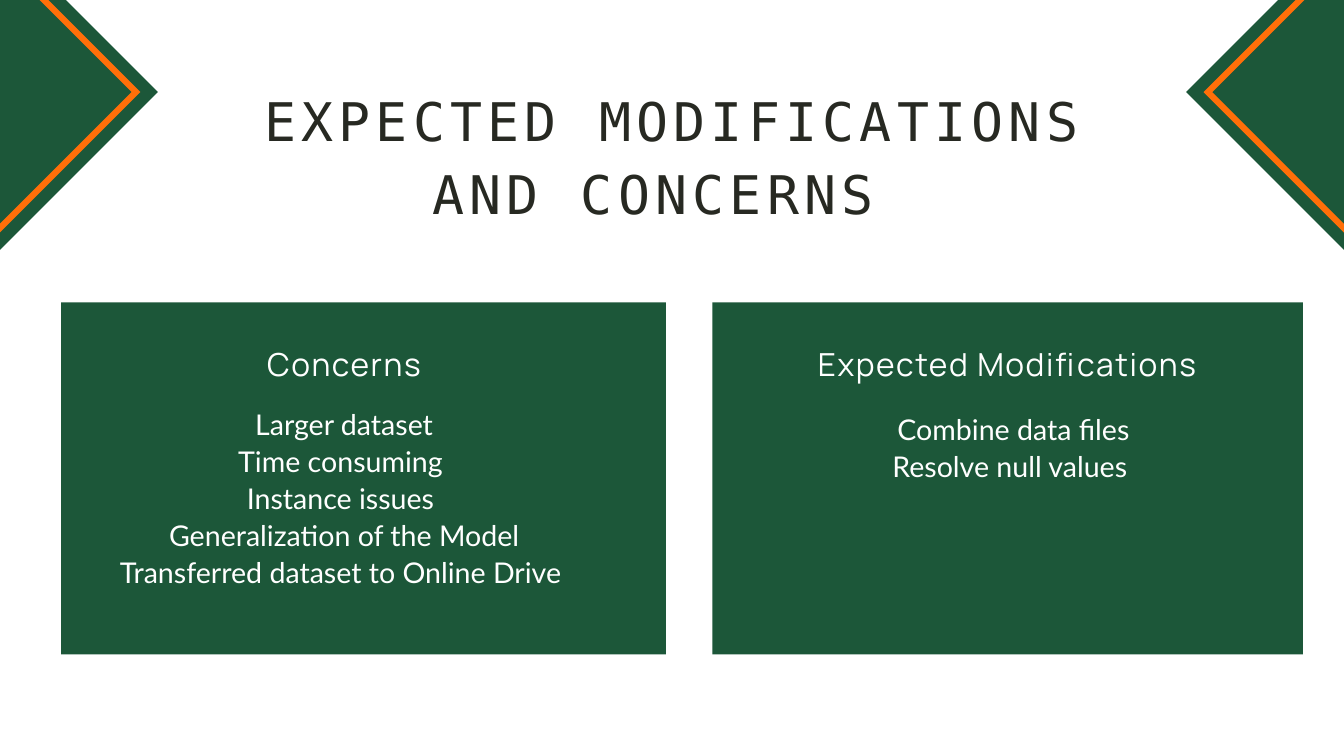
from pptx import Presentation
from pptx import util as u
from pptx.dml.color import RGBColor
from pptx.enum import shapes, text

GREEN = RGBColor(0x1C, 0x57, 0x39)
ORANGE = RGBColor(0xFF, 0x6F, 0x09)
WHITE = RGBColor(0xFF, 0xFF, 0xFF)
INK = RGBColor(0x27, 0x29, 0x22)

TITLE = dict(name="DejaVu Sans Mono", size=57, color=INK, leading=78.7, tracking=5.6)
HEADING = dict(name="Manrope", size=34, color=WHITE, leading=35.7, tracking=1.7)
BODY = dict(name="Lato", size=30.6, color=WHITE, leading=39.8, tracking=0)


class Painter:
    def __init__(self, page):
        self.page = page

    def finish(self, shape, color):
        shape.shadow.inherit = False
        shape.fill.solid()
        shape.fill.fore_color.rgb = color
        shape.line.fill.background()

    def panel(self, kind, left, top, width, height):
        shape = self.page.shapes.add_shape(
            kind, *[u.Inches(v) for v in (left, top, width, height)])
        self.finish(shape, GREEN)

    def diamond(self, x, y, reach):
        self.panel(shapes.MSO_SHAPE.DIAMOND, x - reach, y - reach, 2 * reach, 2 * reach)

    def frame(self, x, y, outer, inner):
        def corners(dx, dy):
            offsets = [(-dx, 0), (0, dy), (dx, 0), (0, -dy)]
            return [(u.Inches(x + a), u.Inches(y + b)) for a, b in offsets]

        outside, inside = corners(outer, outer), corners(-inner, inner)
        builder = self.page.shapes.build_freeform(*outside[0])
        builder.add_line_segments(outside[1:], close=True)
        builder.move_to(*inside[0])
        builder.add_line_segments(inside[1:], close=True)
        self.finish(builder.convert_to_shape(), ORANGE)

    def fill_text(self, box, lines, style):
        frame = box.text_frame
        settings = dict(word_wrap=True, auto_size=text.MSO_AUTO_SIZE.NONE,
                        vertical_anchor=text.MSO_ANCHOR.TOP, margin_left=0,
                        margin_right=0, margin_top=0, margin_bottom=0)
        for key, value in settings.items():
            setattr(frame, key, value)
        for index, line in enumerate(lines):
            para = frame.add_paragraph() if index else frame.paragraphs[0]
            para.alignment = text.PP_ALIGN.CENTER
            para.line_spacing = u.Pt(style["leading"])
            span = para.add_run()
            span.text = line
            for key, value in dict(name=style["name"], size=u.Pt(style["size"])).items():
                setattr(span.font, key, value)
            span.font.color.rgb = style["color"]
            span._r.get_or_add_rPr().set("spc", str(round(style["tracking"] * 100)))

    def title(self, lines, left, top, width, height):
        box = self.page.shapes.title
        places = dict(left=left, top=top, width=width, height=height)
        for key, value in places.items():
            setattr(box, key, u.Inches(value))
        self.fill_text(box, lines, TITLE)

    def label(self, lines, style, left, top, width, height):
        box = self.page.shapes.add_textbox(
            *[u.Inches(v) for v in (left, top, width, height)])
        self.fill_text(box, lines, style)


def main():
    deck = Presentation()
    deck.slide_width, deck.slide_height = u.Inches(20), u.Inches(11.25)
    painter = Painter(deck.slides.add_slide(deck.slide_layouts[5]))

    for x in (-0.04, 20.04):
        painter.diamond(x, 1.37, 2.39)
        painter.frame(x, 1.37, 2.13, 2)
    for left, width in ((10.6, 8.79), (0.91, 9)):
        painter.panel(shapes.MSO_SHAPE.RECTANGLE, left, 4.5, width, 5.24)

    painter.title(["EXPECTED MODIFICATIONS", "AND CONCERNS "], 3.21, 1.17, 13.57, 2.22)
    painter.label(["Expected Modifications"], HEADING, 11.7, 5.2, 6.58, 0.55)
    painter.label(["Concerns"], HEADING, 3.81, 5.2, 2.62, 0.55)
    painter.label(["Larger dataset", "Time consuming ", "Instance issues ",
                   "Generalization of the Model",
                   "Transferred dataset to Online Drive "],
                  BODY, 0.61, 6.01, 9.02, 2.75)
    painter.label(["Combine data files", "Resolve null values "],
                  BODY, 10.77, 6.08, 8.62, 1.09)
    deck.save("out.pptx")


if __name__ == "__main__":
    main()
